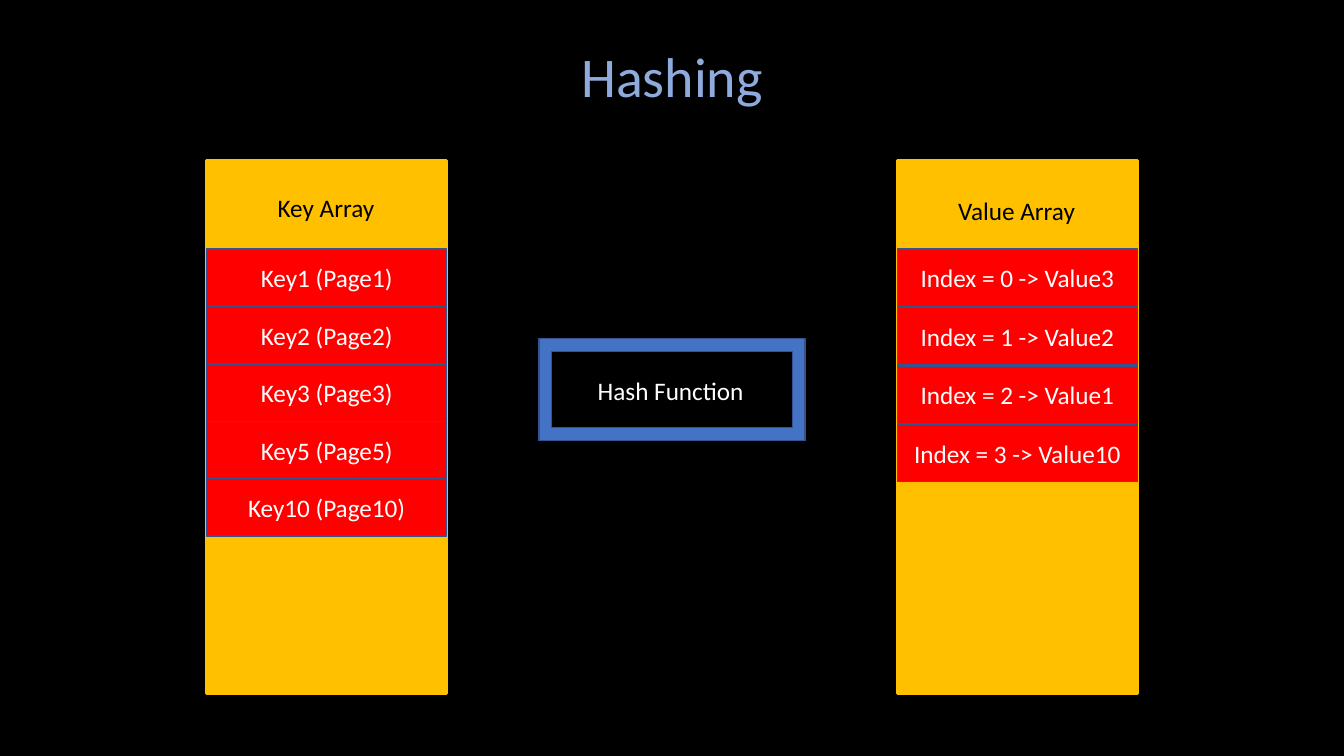
import pptx
import pptx.dml.color
import pptx.enum.shapes
import pptx.enum.text
import pptx.util

RGBColor = pptx.dml.color.RGBColor
BLACK = RGBColor(0x00, 0x00, 0x00)
WHITE = RGBColor(0xFF, 0xFF, 0xFF)
TITLE_BLUE = RGBColor(0x8F, 0xAA, 0xDC)
FRAME_BLUE = RGBColor(0x44, 0x72, 0xC4)
EDGE_BLUE = RGBColor(0x32, 0x54, 0x91)
AMBER = RGBColor(0xFF, 0xC0, 0x00)
RED = RGBColor(0xFF, 0x00, 0x00)

FONT = "Calibri"
SLIDE_WIDTH, SLIDE_HEIGHT = 13.33, 7.5
MARGIN = 2.05
ARRAY_TOP, ARRAY_WIDTH, ARRAY_HEIGHT = 1.59, 2.38, 5.29
FIRST_ROW_TOP, ROW_HEIGHT = 2.47, 0.57
LABEL_HEIGHT = 0.4
KEYS = ["Key1 (Page1)", "Key2 (Page2)", "Key3 (Page3)", "Key5 (Page5)", "Key10 (Page10)"]
VALUES = [f"Index = {index} -> Value{value}" for index, value in enumerate([3, 2, 1, 10])]


def inches(*lengths):
    """Convert numbers to inch lengths."""
    return [pptx.util.Inches(length) for length in lengths]


def write(shape, text, color, size=18, alignment=pptx.enum.text.PP_ALIGN.CENTER):
    """Set one line of formatted text on a shape."""
    shape.text_frame.text = text
    paragraph = shape.text_frame.paragraphs[0]
    paragraph.alignment = alignment
    font = paragraph.runs[0].font
    font.name, font.size, font.color.rgb = FONT, pptx.util.Pt(size), color


def add_box(slide, box, fill, line, line_width=1,
            preset=pptx.enum.shapes.MSO_SHAPE.RECTANGLE):
    """Add a filled and outlined preset shape."""
    shape = slide.shapes.add_shape(preset, *inches(*box))
    shape.shadow.inherit = False
    shape.fill.solid()
    shape.fill.fore_color.rgb = fill
    shape.line.color.rgb = line
    shape.line.width = pptx.util.Pt(line_width)
    return shape


def add_label(slide, center, top, width, text, color):
    """Add an unwrapped label centred on a horizontal position."""
    label = slide.shapes.add_textbox(*inches(center - width / 2, top, width, LABEL_HEIGHT))
    label.text_frame.word_wrap = False
    write(label, text, color, alignment=pptx.enum.text.PP_ALIGN.LEFT)


def add_array(slide, left, heading, heading_top, heading_width, entries, pitch):
    """Add an array column with its heading and stacked entries."""
    add_box(slide, (left, ARRAY_TOP, ARRAY_WIDTH, ARRAY_HEIGHT), AMBER, AMBER, 2)
    add_label(slide, left + ARRAY_WIDTH / 2, heading_top, heading_width, heading, BLACK)
    for row, entry in enumerate(entries):
        top = FIRST_ROW_TOP + row * pitch
        cell = add_box(slide, (left, top, ARRAY_WIDTH, ROW_HEIGHT), RED, EDGE_BLUE)
        cell.text_frame.vertical_anchor = pptx.enum.text.MSO_ANCHOR.MIDDLE
        write(cell, entry, WHITE)


def add_hash_function(slide):
    """Add the framed hash function between the arrays."""
    center, width = SLIDE_WIDTH / 2, 2.64
    add_box(slide, (center - width / 2, 3.36, width, 1.01), FRAME_BLUE, EDGE_BLUE,
            preset=pptx.enum.shapes.MSO_SHAPE.FRAME)
    add_label(slide, center, 3.67, 1.67, "Hash Function", WHITE)


def add_title(slide, text):
    """Place and format the title placeholder."""
    title = slide.shapes.title
    title.left, title.top, title.width, title.height = inches(
        MARGIN, 0.36, SLIDE_WIDTH - 2 * MARGIN, 0.77)
    title.text_frame.vertical_anchor = pptx.enum.text.MSO_ANCHOR.TOP
    write(title, text, TITLE_BLUE, 40)


def main():
    """Build the hashing slide."""
    presentation = pptx.Presentation()
    presentation.slide_width, presentation.slide_height = inches(SLIDE_WIDTH, SLIDE_HEIGHT)
    slide = presentation.slides.add_slide(presentation.slide_layouts[5])
    slide.background.fill.solid()
    slide.background.fill.fore_color.rgb = BLACK
    add_title(slide, "Hashing")
    add_array(slide, MARGIN, "Key Array", 1.86, 1.17, KEYS, 0.57)
    add_hash_function(slide)
    value_left = SLIDE_WIDTH - MARGIN - ARRAY_WIDTH
    add_array(slide, value_left, "Value Array", 1.89, 1.37, VALUES, 0.58)
    presentation.save("out.pptx")


main()
